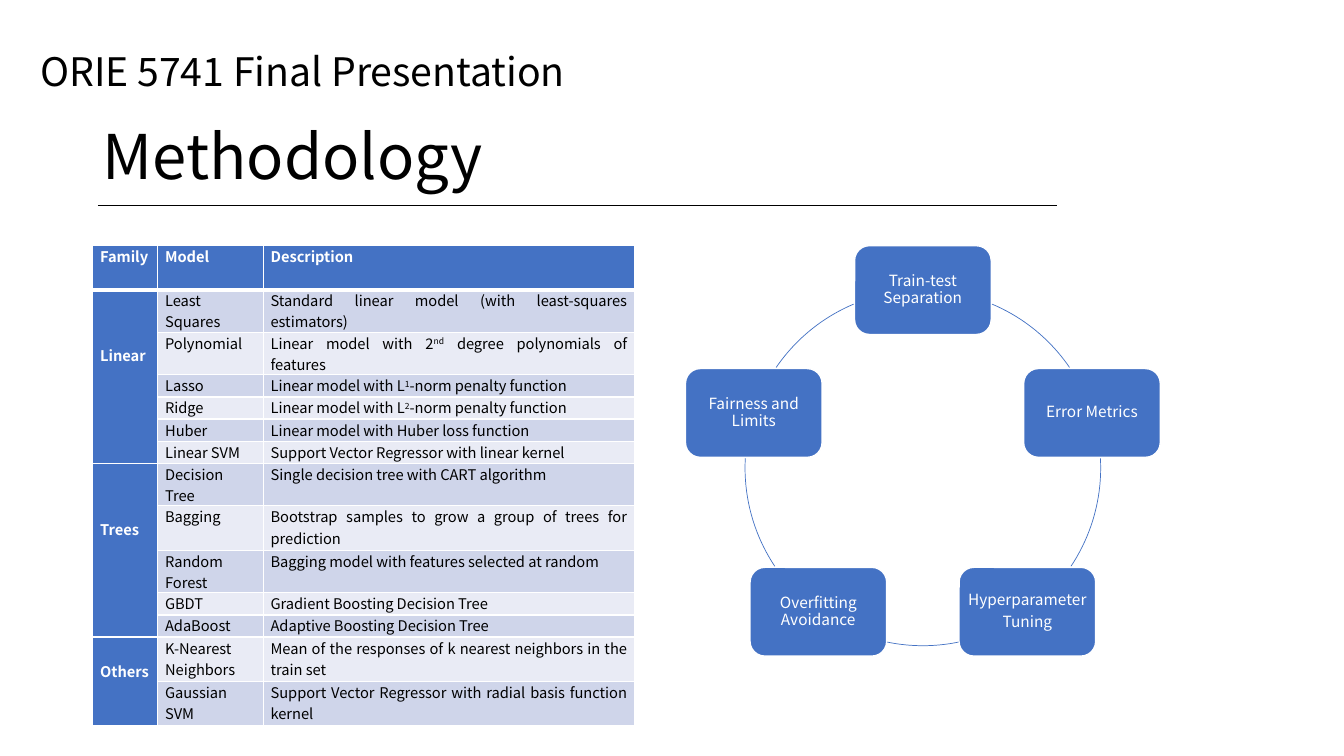
from dataclasses import dataclass
from math import cos, radians, sin

from lxml.etree import SubElement
from pptx import Presentation
from pptx.dml.color import RGBColor
from pptx.enum.shapes import MSO_CONNECTOR, MSO_SHAPE
from pptx.enum.text import MSO_ANCHOR, PP_ALIGN
from pptx.oxml import parse_xml
from pptx.oxml.ns import nsdecls, qn
from pptx.util import Pt


@dataclass(frozen=True)
class Theme:
    font: str = "Noto Sans CJK SC"
    black: str = "000000"
    white: str = "FFFFFF"
    blue: str = "4472C4"
    bands: tuple = ("CFD5EA", "E9EBF5")
    course_size: float = 28
    title_size: float = 44
    table_size: float = 10.5
    step_size: float = 11


THEME = Theme()

# Row heights in points
ONE_LINE, TWO_LINES, TALL = 15.8, 30.4, 31.8

# Content: ^...^ marks superscript; each model has its row height
COURSE = "ORIE 5741 Final Presentation"
TITLE = "Methodology"
HEADERS = ("Family", "Model", "Description")
# Family name, space kept below the name, models
FAMILIES = [
    ("Linear", 30, [
        ("Least Squares", "Standard linear model (with least-squares estimators)", TWO_LINES),
        ("Polynomial", "Linear model with 2^nd^ degree polynomials of features", TWO_LINES),
        ("Lasso", "Linear model with L^1^-norm penalty function", ONE_LINE),
        ("Ridge", "Linear model with L^2^-norm penalty function", ONE_LINE),
        ("Huber", "Linear model with Huber loss function", ONE_LINE),
        ("Linear SVM", "Support Vector Regressor with linear kernel", ONE_LINE),
    ]),
    ("Trees", 30, [
        ("Decision Tree", "Single decision tree with CART algorithm", TWO_LINES),
        ("Bagging", "Bootstrap samples to grow a group of trees for prediction", TALL),
        ("Random Forest", "Bagging model with features selected at random", TWO_LINES),
        ("GBDT", "Gradient Boosting Decision Tree", ONE_LINE),
        ("AdaBoost", "Adaptive Boosting Decision Tree", ONE_LINE),
    ]),
    ("Others", 15, [
        ("K-Nearest Neighbors",
         "Mean of the responses of k nearest neighbors in the train set", TALL),
        ("Gaussian SVM",
         "Support Vector Regressor with radial basis function kernel", TALL),
    ]),
]
# Step text and the angles of the arc that follows it, clockwise from the right
STEPS = [
    ("Train-test Separation", 292.9, 325.6),
    ("Error Metrics", 356.9, 33.6),
    ("Hyperparameter\nTuning", 78.4, 101.6),
    ("Overfitting Avoidance", 146.4, 183.1),
    ("Fairness and Limits", 214.4, 247.1),
]

# Layout in points
TABLE_LEFT, TABLE_TOP = 66.2, 175.2
COLUMN_WIDTHS = (46.4, 75.4, 265.6)
RING_X, RING_Y, RING_RADIUS = 659.2, 334.2, 127
STEP_WIDTH, STEP_HEIGHT = 97.6, 63.4


def box(left, top, width, height):
    return [Pt(value) for value in (left, top, width, height)]


def rgb(color):
    return RGBColor.from_string(color)


def style(paragraph, size, color, align=PP_ALIGN.LEFT, bold=False):
    paragraph.alignment = align
    for run in paragraph.runs:
        run.font.name = THEME.font
        run.font.size = Pt(size)
        run.font.bold = bold
        run.font.color.rgb = rgb(color)


def set_borders(cell, **widths):
    cell_properties = cell._tc.get_or_add_tcPr()
    for index, side in enumerate("LRTB"):
        cell_properties.insert(index, parse_xml(
            f'<a:ln{side} {nsdecls("a")} w="{Pt(widths.get(side, 1))}"><a:solidFill>'
            f'<a:srgbClr val="{THEME.white}"/></a:solidFill></a:ln{side}>'))


def fill_cell(cell, text, fill, color, bold=False):
    paragraph = cell.text_frame.paragraphs[0]
    for index, part in enumerate(text.split("^")):
        run = paragraph.add_run()
        run.text = part
        if index % 2:
            run._r.get_or_add_rPr().set("baseline", "30000")
    style(paragraph, THEME.table_size, color, PP_ALIGN.JUSTIFY, bold)
    cell.margin_left = cell.margin_right = Pt(5.4)
    cell.margin_top = cell.margin_bottom = 0
    cell.fill.solid()
    cell.fill.fore_color.rgb = rgb(fill)


presentation = Presentation()
presentation.slide_width, presentation.slide_height = Pt(960), Pt(540)
slide = presentation.slides.add_slide(presentation.slide_layouts[5])
shapes = slide.shapes

# Course name, title and rule
title = shapes.title
title.left, title.top, title.width, title.height = box(66.2, 62, 828, 104.4)
title.text_frame.text = TITLE
title.text_frame.vertical_anchor = MSO_ANCHOR.MIDDLE
title.text_frame.paragraphs[0].line_spacing = 0.9
style(title.text_frame.paragraphs[0], THEME.title_size, THEME.black)

course = shapes.add_textbox(*box(21.6, 30.2, 407.5, 41)).text_frame
course.word_wrap = True
course.text = COURSE
style(course.paragraphs[0], THEME.course_size, THEME.black)

rule = shapes.add_connector(MSO_CONNECTOR.STRAIGHT, Pt(70), Pt(147), Pt(755), Pt(147))
rule.line.color.rgb = rgb(THEME.black)
rule.line.width = Pt(0.5)
SubElement(rule._element.spPr, qn("a:effectLst"))

# Model table
heights = [TALL] + [model[2] for family in FAMILIES for model in family[2]]
models_table = shapes.add_table(
    len(heights), len(HEADERS),
    *box(TABLE_LEFT, TABLE_TOP, sum(COLUMN_WIDTHS), sum(heights))).table
for column, width in zip(models_table.columns, COLUMN_WIDTHS):
    column.width = Pt(width)
for row, height in zip(models_table.rows, heights):
    row.height = Pt(height)
for column, header in enumerate(HEADERS):
    fill_cell(models_table.cell(0, column), header, THEME.blue, THEME.white, True)

row = 1
for family, space_below, models in FAMILIES:
    family_cell = models_table.cell(row, 0)
    family_cell.merge(models_table.cell(row + len(models) - 1, 0))
    fill_cell(family_cell, family, THEME.blue, THEME.white, True)
    family_cell.vertical_anchor = MSO_ANCHOR.MIDDLE
    family_cell.margin_bottom = Pt(space_below)
    for name, description, _ in models:
        band = THEME.bands[(row - 1) % 2]
        fill_cell(models_table.cell(row, 1), name, band, THEME.black)
        fill_cell(models_table.cell(row, 2), description, band, THEME.black)
        row += 1

for index in range(len(heights)):
    for cell in models_table.rows[index].cells:
        set_borders(cell, T=3 if index == 1 else 1, B=3 if index == 0 else 1)

# Ring of steps, evenly spaced from the top
for index, (text, arc_start, arc_end) in enumerate(STEPS):
    angle = radians(360 / len(STEPS) * index - 90)
    step = shapes.add_shape(MSO_SHAPE.ROUNDED_RECTANGLE, *box(
        RING_X + RING_RADIUS * cos(angle) - STEP_WIDTH / 2,
        RING_Y + RING_RADIUS * sin(angle) - STEP_HEIGHT / 2,
        STEP_WIDTH, STEP_HEIGHT))
    step.shadow.inherit = False
    step.fill.solid()
    step.fill.fore_color.rgb = rgb(THEME.blue)
    step.line.color.rgb = rgb(THEME.white)
    step.line.width = Pt(1)
    frame = step.text_frame
    frame.text = text
    frame.word_wrap = True
    frame.vertical_anchor = MSO_ANCHOR.MIDDLE
    frame.margin_left = frame.margin_right = frame.margin_top = frame.margin_bottom = Pt(3)
    for paragraph in frame.paragraphs:
        paragraph.line_spacing = 0.9
        paragraph.space_after = Pt(4)
        style(paragraph, THEME.step_size, THEME.white, PP_ALIGN.CENTER)

    arc = shapes.add_shape(MSO_SHAPE.ARC, *box(
        RING_X - RING_RADIUS, RING_Y - RING_RADIUS, 2 * RING_RADIUS, 2 * RING_RADIUS))
    arc.shadow.inherit = False
    arc.fill.background()
    arc.line.color.rgb = rgb(THEME.blue)
    arc.line.width = Pt(0.5)
    # One degree is 0.6 of an adjustment unit
    arc.adjustments[0], arc.adjustments[1] = arc_start * 0.6, arc_end * 0.6

presentation.save("out.pptx")
